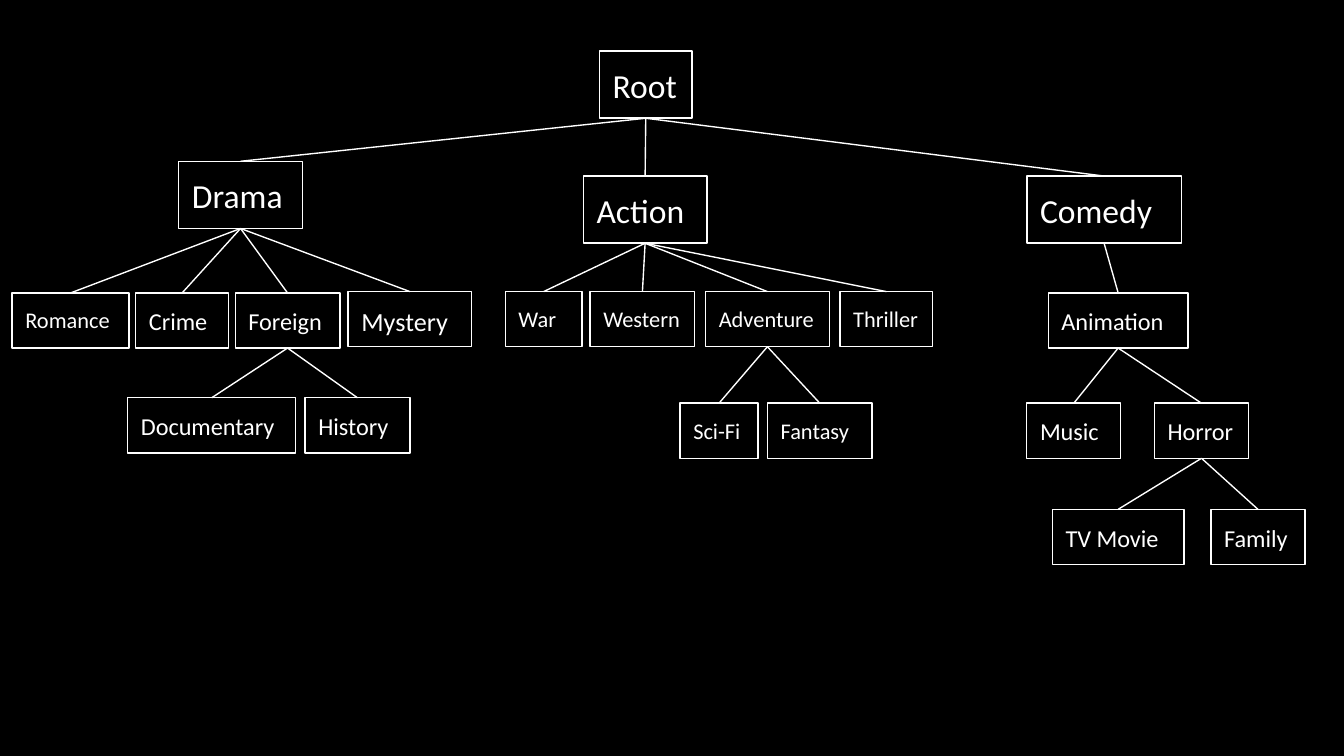
from typing import NamedTuple

from lxml import etree
from pptx import Presentation
from pptx.dml.color import RGBColor
from pptx.enum import shapes, text
from pptx.oxml import ns
from pptx.util import Inches, Pt

BLACK = "000000"
WHITE = "FFFFFF"
SLIDE_WIDTH = 10
BLANK_LAYOUT = 6
TOP, BOTTOM = 0, 2  # connection sites of a rectangle
LARGE, SMALL = 0.5, 0.41  # box heights


class Genre(NamedTuple):
    name: str
    parent: str
    left: float
    top: float
    width: float
    height: float
    size: int


GENRES = [
    Genre("Root", "", 4.46, 0.38, 0.69, LARGE, 18),
    Genre("Drama", "Root", 1.33, 1.2, 0.92, LARGE, 18),
    Genre("Action", "Root", 4.34, 1.31, 0.92, LARGE, 18),
    Genre("Comedy", "Root", 7.64, 1.31, 1.15, LARGE, 18),
    Genre("Romance", "Drama", 0.09, 2.18, 0.87, SMALL, 12),
    Genre("Crime", "Drama", 1.01, 2.18, 0.69, SMALL, 13),
    Genre("Mystery", "Drama", 2.59, 2.17, 0.92, SMALL, 14),
    Genre("Foreign", "Drama", 1.75, 2.18, 0.78, SMALL, 13),
    Genre("Documentary", "Foreign", 0.95, 2.96, 1.25, SMALL, 13),
    Genre("History", "Foreign", 2.27, 2.96, 0.78, SMALL, 13),
    Genre("Animation", "Comedy", 7.8, 2.18, 1.04, SMALL, 13),
    Genre("Horror", "Animation", 8.59, 3, 0.7, SMALL, 13),
    Genre("Music", "Animation", 7.64, 3, 0.7, SMALL, 13),
    Genre("TV Movie", "Horror", 7.83, 3.79, 0.98, SMALL, 13),
    Genre("Family", "Horror", 9.01, 3.79, 0.7, SMALL, 13),
    Genre("Adventure", "Action", 5.25, 2.17, 0.92, SMALL, 12),
    Genre("Thriller", "Action", 6.25, 2.17, 0.69, SMALL, 12),
    Genre("War", "Action", 3.76, 2.17, 0.57, SMALL, 12),
    Genre("Western", "Action", 4.39, 2.17, 0.78, SMALL, 12),
    Genre("Fantasy", "Adventure", 5.71, 3, 0.78, SMALL, 12),
    Genre("Sci-Fi", "Adventure", 5.06, 3, 0.58, SMALL, 12),
]


def paint(fill, color: str) -> None:
    fill.solid()
    fill.fore_color.rgb = RGBColor.from_string(color)


def outline(line) -> None:
    paint(line.fill, WHITE)
    line.width = Pt(0.75)


def add_genre(slide, genre: Genre):
    box = slide.shapes.add_shape(
        shapes.MSO_SHAPE.RECTANGLE,
        Inches(genre.left), Inches(genre.top),
        Inches(genre.width), Inches(genre.height),
    )
    box.shadow.inherit = False
    box.fill.background()
    outline(box.line)

    frame = box.text_frame
    frame.word_wrap = True
    frame.vertical_anchor = text.MSO_ANCHOR.TOP
    frame.margin_left = frame.margin_right = Inches(0.1)
    frame.margin_top = frame.margin_bottom = Inches(0.1)
    label = frame.paragraphs[0]
    label.alignment = text.PP_ALIGN.LEFT
    run = label.add_run()
    run.text = genre.name
    run.font.name = "Calibri"
    run.font.size = Pt(genre.size)
    paint(run.font.fill, WHITE)
    return box


def add_branch(slide, parent, child) -> None:
    """Join the bottom of the parent box to the top of the child box."""
    branch = slide.shapes.add_connector(shapes.MSO_CONNECTOR.STRAIGHT, 0, 0, 0, 0)
    branch.begin_connect(parent, BOTTOM)
    branch.end_connect(child, TOP)
    outline(branch.line)
    etree.SubElement(branch._element.spPr, ns.qn("a:effectLst"))


def main() -> None:
    deck = Presentation()
    deck.slide_width = Inches(SLIDE_WIDTH)
    deck.slide_height = Inches(SLIDE_WIDTH * 9 / 16)
    slide = deck.slides.add_slide(deck.slide_layouts[BLANK_LAYOUT])
    paint(slide.background.fill, BLACK)

    boxes = {}
    for genre in GENRES:
        boxes[genre.name] = add_genre(slide, genre)
        if genre.parent:
            add_branch(slide, boxes[genre.parent], boxes[genre.name])

    deck.save("out.pptx")


if __name__ == "__main__":
    main()
